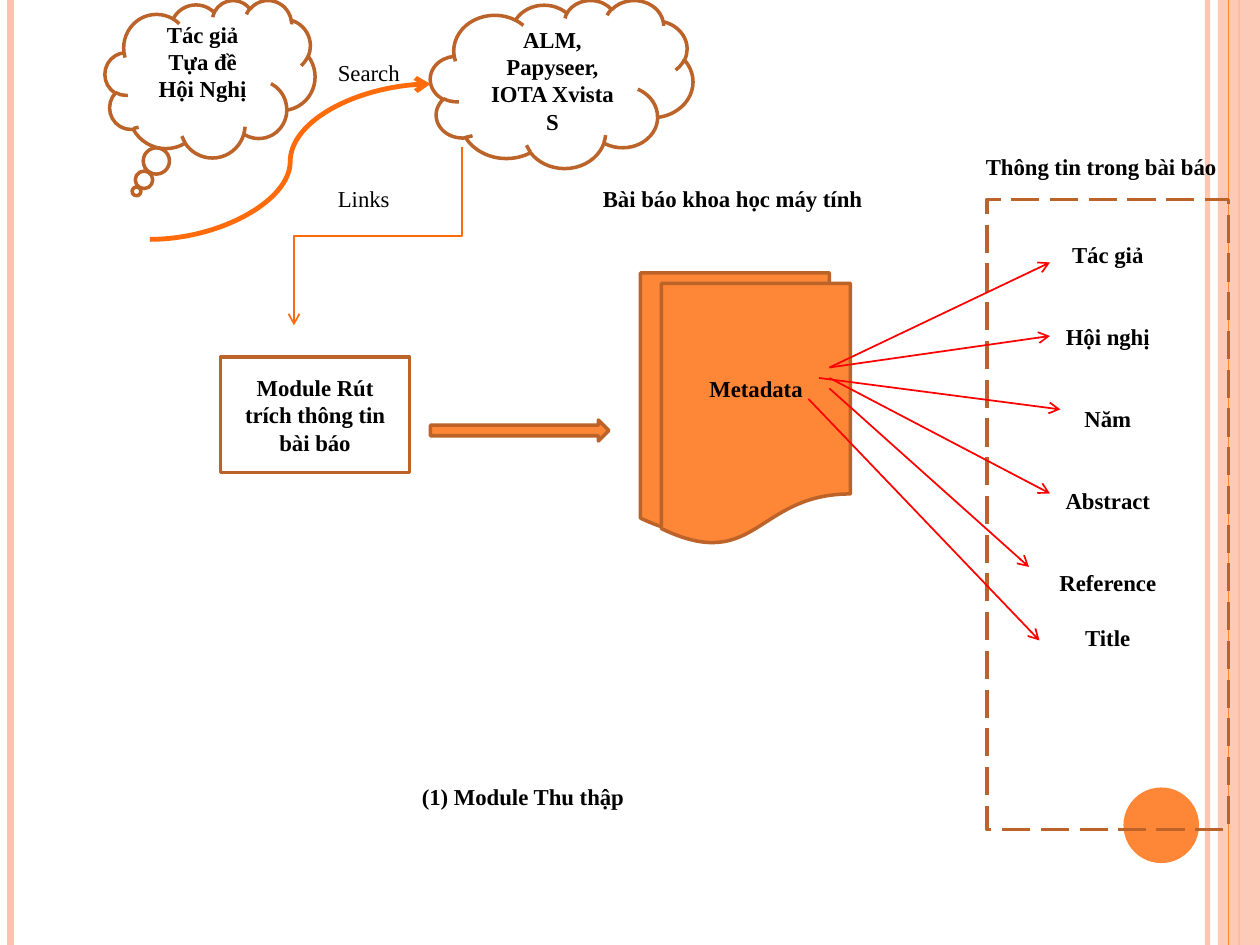
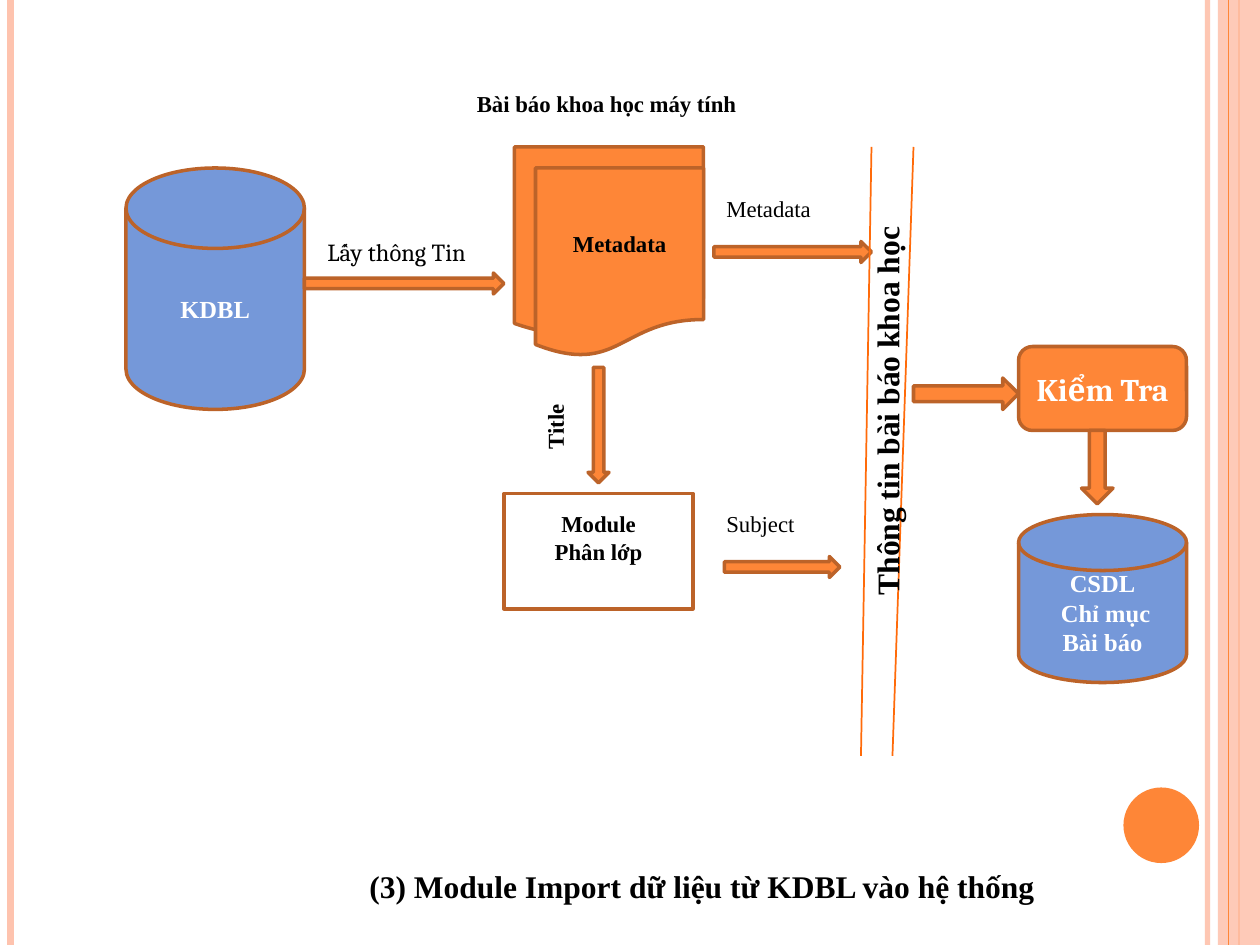
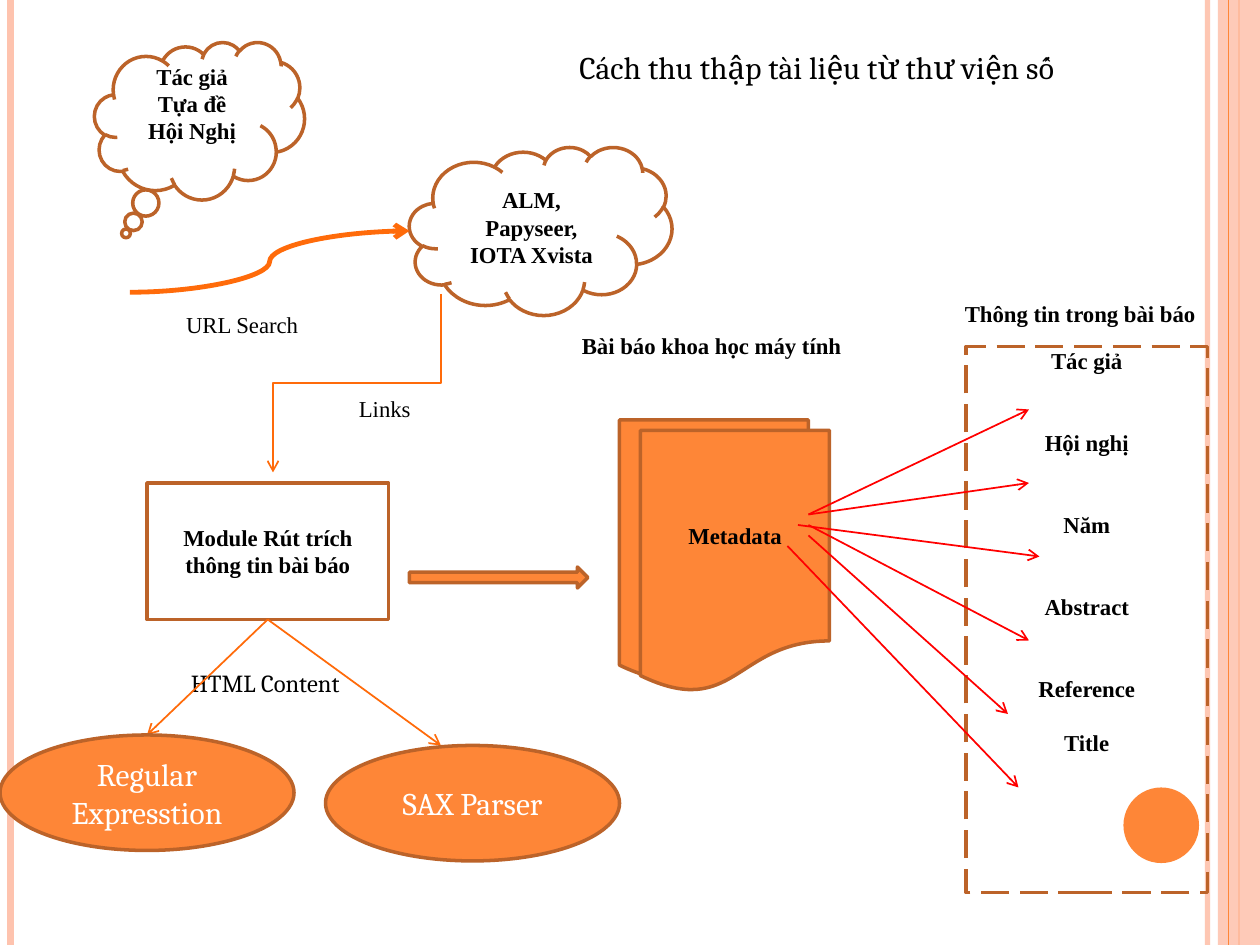
from lxml.etree import SubElement
from pptx import Presentation
from pptx.dml.color import RGBColor
from pptx.enum.dml import MSO_LINE
from pptx.enum.shapes import MSO_CONNECTOR as Link, MSO_SHAPE as Shape
from pptx.enum.text import MSO_ANCHOR as Anchor, PP_ALIGN as Align
from pptx.oxml.ns import qn
from pptx.util import Cm, Pt

ORANGE = RGBColor(0xFE, 0x86, 0x37)
BRIGHT = RGBColor(0xFF, 0x6B, 0x0A)
BROWN = RGBColor(0xBC, 0x63, 0x29)
PEACH = RGBColor(0xFE, 0xC3, 0xAE)
BLUE = RGBColor(0x75, 0x98, 0xD9)
RED = RGBColor(0xFF, 0x00, 0x00)
BLACK = RGBColor(0x00, 0x00, 0x00)
WHITE = RGBColor(0xFF, 0xFF, 0xFF)

WIDTH, HEIGHT = 25.4, 19.05
COLUMNS, ROWS = 120, 90
CELL = WIDTH / COLUMNS
LINE_PT = 15.6
LINE_CM = 0.55
INSET_CM = 0.13

SERIF, CAMBRIA = "Times New Roman", "Cambria"
PLAIN = {"name": SERIF, "size": Pt(13), "bold": False, "color": BLACK}
BOLD = {**PLAIN, "bold": True}
HEADING = {**BOLD, "size": Pt(18)}
DISK = {**BOLD, "size": Pt(14), "color": WHITE}
NOTE = {**PLAIN, "name": CAMBRIA, "size": Pt(14)}
TITLE = {**NOTE, "size": Pt(18)}
OVAL = {**TITLE, "color": WHITE}
CHECK = {**OVAL, "bold": True}

BANDS = [(115, PEACH, 3, 93), (1, PEACH, 4.5, None), (118, ORANGE, 1.5, None)]
AUTHOR_QUERY = ["Tác giả", "Tựa đề", "Hội Nghị"]
LIBRARIES = ["ALM,", "Papyseer,", "IOTA Xvista"]
MODULE = ["Module Rút trích thông tin bài báo"]
FIELDS = [("Tác giả", 0), ("Hội nghị", 2), ("Năm", 2),
          ("Abstract", 2), ("Reference", 2), ("Title", 1)]
FIELD_ARROWS = [
    ((79, 35), (100, 25)), ((79, 35), (100, 32)), ((78, 36), (101, 39)),
    ((79, 36), (100, 47)), ((79, 37), (98, 54)), ((77, 38), (99, 61)),
]

COLLECT = {
    "shift": (0, 0), "callout": (10, 0), "libraries": LIBRARIES + ["S"],
    "curve_start": (14.28, 22.8), "module": (21, 34, 18, 11),
    "fields_height": 60, "fields_inset": 0.84,
    "labels": [
        ((39, 74, 29), "(1) Module Thu thập", BOLD),
        ((31, 17, 7.5), "Links", PLAIN),
        ((31, 5, 8.4), "Search", PLAIN),
    ],
}
LIBRARY = {
    "shift": (-2, 14), "callout": (9, 4), "libraries": LIBRARIES,
    "curve_start": (12.36, 27.84), "module": (14, 46, 23, 13),
    "fields_height": 52, "fields_inset": 0,
    "labels": [
        ((33, 37, 7.5), "Links", PLAIN),
        ((16, 29, 13.8), " URL Search", PLAIN),
        ((17, 63, 19.2), "HTML Content", NOTE),
        ((54, 4, 54), "Cách thu thập tài liệu từ thư viện số", TITLE),
    ],
}
PARSERS = [((0, 70, 28, 11), ["Regular", "Expresstion"], (14, 70)),
           ((31, 71, 28, 11), ["SAX Parser"], (42, 71))]

IMPORT_ARROWS = [
    ((29, 26, 19, 2), 0), ((68, 23, 15, 2), 0), ((87, 36, 10, 3), 0),
    ((101, 43, 7, 3), 90), ((69, 53, 11, 2), 0), ((51.5, 39.5, 11, 2), 90),
]
IMPORT_LABELS = [
    ((30, 22, 23), "Lấy thông Tin", NOTE, 0),
    ((34, 82, 66), "(3) Module Import dữ liệu từ KDBL vào hệ thống", HEADING, 0),
    ((64.44, 35.52, 40), "Thông tin bài báo khoa học", HEADING, 270),
    ((68, 18, 21), "Metadata", PLAIN, 0),
    ((68, 48, 21), "Subject", PLAIN, 0),
    ((42.36, 31.56, 21), "Title", BOLD, 270),
]
IMPORT_RAILS = [((83, 14), (82, 72)), ((87, 14), (85, 72))]


def grid(*cells):
    return [Cm(cell * CELL) for cell in cells]


def set_alpha(item, percent):
    for color in item.element.spPr.iter(qn("a:srgbClr")):
        SubElement(color, qn("a:alpha")).set("val", str(percent * 1000))


def write(frame, lines, style, align):
    for index, line in enumerate(lines):
        text, gap = line if isinstance(line, tuple) else (line, 0)
        para = frame.paragraphs[0] if index == 0 else frame.add_paragraph()
        para.alignment = align
        if gap:
            para.space_before = Pt(gap * LINE_PT)
        span = para.add_run()
        span.text = text
        for key, value in style.items():
            if key == "color":
                span.font.color.rgb = value
            else:
                setattr(span.font, key, value)


def add_box(page, kind, place, lines=(), style=BOLD, fill=None, line=BROWN,
            rotation=0, **frame_format):
    box = page.shapes.add_shape(kind, *grid(*place))
    box.shadow.inherit = False
    box.rotation = rotation
    if fill is None:
        box.fill.background()
    else:
        box.fill.solid()
        box.fill.fore_color.rgb = fill
    if line is None:
        box.line.fill.background()
    else:
        box.line.color.rgb = line
        box.line.width = Pt(2)
    settings = {"word_wrap": True, "vertical_anchor": Anchor.MIDDLE, **frame_format}
    for key, value in settings.items():
        setattr(box.text_frame, key, value)
    write(box.text_frame, lines, style, Align.CENTER)
    return box


def add_label(page, place, text, style, rotation=0, align=Align.LEFT):
    height = 2.4 + style["size"].pt * 0.13 if style["size"].pt > 13 else 3.84
    box = page.shapes.add_textbox(*grid(*place, height))
    box.rotation = rotation
    box.text_frame.word_wrap = align == Align.LEFT
    write(box.text_frame, [text], style, align)


def add_line(page, start, end, color, width=1, kind=Link.STRAIGHT, arrow=False):
    line = page.shapes.add_connector(kind, *grid(*start, *end))
    line.line.color.rgb = color
    line.line.width = Pt(width)
    properties = line.element.spPr
    if arrow:
        SubElement(properties.find(qn("a:ln")), qn("a:tailEnd")).set("type", "arrow")
    SubElement(properties, qn("a:effectLst"))
    return line


def add_drop(page, start, end):
    (x1, y1), (x2, y2) = start, end
    mid_x, mid_y = (x1 + x2) / 2, (y1 + y2) / 2
    across, down = (y2 - y1) / 2, (x1 - x2) / 2
    line = add_line(page, (mid_x - across, mid_y - down),
                    (mid_x + across, mid_y + down), BRIGHT,
                    kind=Link.ELBOW, arrow=True)
    line.element.spPr.find(qn("a:xfrm")).set("rot", str(90 * 60000))


def add_frame(page):
    for column, color, width, alpha in BANDS:
        band = add_line(page, (column, 0), (column, ROWS), color, width)
        if alpha:
            set_alpha(band, alpha)
    set_alpha(add_box(page, Shape.RECTANGLE, (116, 0, 4, ROWS), fill=PEACH, line=None), 87)
    add_line(page, (117, 0), (117, ROWS), ORANGE, 0.75)
    add_box(page, Shape.OVAL, (107, 75, 7.2, 7.2), fill=ORANGE, line=None)


def add_papers(page, back, front, caption):
    add_box(page, Shape.FLOWCHART_DOCUMENT, back, fill=ORANGE)
    add_label(page, caption, "Bài báo khoa học máy tính", BOLD, align=Align.CENTER)
    add_box(page, Shape.FLOWCHART_DOCUMENT, front, ["Metadata"], fill=ORANGE)


def add_extraction(page, content):
    shift_x, shift_y = content["shift"]

    def moved(x, y, *size):
        return (x + shift_x, y + shift_y, *size)

    callout = add_box(page, Shape.CLOUD_CALLOUT, (*content["callout"], 20, 15),
                      AUTHOR_QUERY, margin_bottom=Cm(INSET_CM + LINE_CM))
    callout.adjustments[0], callout.adjustments[1] = -0.35, 0.715
    add_box(page, Shape.CLOUD, moved(41, 0, 25, 16), content["libraries"])
    add_drop(page, moved(44, 14), moved(28, 31))
    add_papers(page, moved(61, 26, 18, 25), moved(63, 27, 18, 25), moved(56, 17, 27.5))
    add_box(page, Shape.RIGHT_ARROW, moved(41, 40, 17, 2), fill=ORANGE)
    fields = add_box(page, Shape.RECTANGLE, moved(94, 19, 23, content["fields_height"]),
                     FIELDS, vertical_anchor=Anchor.TOP,
                     margin_top=Cm(content["fields_inset"]))
    fields.line.dash_style = MSO_LINE.LONG_DASH
    for start, end in FIELD_ARROWS:
        add_line(page, moved(*start), moved(*end), RED, arrow=True)
    add_line(page, content["curve_start"], moved(41, 8), BRIGHT, 2.75, Link.CURVE, True)
    add_label(page, moved(92.5, 14, 24.7), "Thông tin trong bài báo", BOLD,
              align=Align.CENTER)
    for label in content["labels"]:
        add_label(page, *label)
    return add_box(page, Shape.RECTANGLE, content["module"], MODULE)


def add_parsers(page, module):
    for place, lines, target in PARSERS:
        line = add_line(page, (25.5, 59), target, BRIGHT, arrow=True)
        line.begin_connect(module, 2)
        add_box(page, Shape.OVAL, place, lines, OVAL, ORANGE)


def add_import(page):
    disk = Shape.FLOWCHART_MAGNETIC_DISK
    add_box(page, disk, (12, 16, 17, 23), ["KDBL"], DISK, BLUE)
    add_papers(page, (49, 14, 18, 18), (51, 16, 16, 18), (44, 8, 27.5))
    add_box(page, disk, (97, 49, 16, 16), ["CSDL", " Chỉ mục", "Bài báo"], DISK, BLUE)
    add_box(page, Shape.FLOWCHART_ALTERNATE_PROCESS, (97, 33, 16, 8),
            ["Kiểm Tra"], CHECK, ORANGE)
    for place, rotation in IMPORT_ARROWS:
        add_box(page, Shape.RIGHT_ARROW, place, fill=ORANGE, rotation=rotation)
    add_box(page, Shape.RECTANGLE, (48, 47, 18, 11), ["Module", "Phân lớp"],
            margin_bottom=Cm(INSET_CM + LINE_CM))
    for start, end in IMPORT_RAILS:
        add_line(page, start, end, BRIGHT)
    for label in IMPORT_LABELS:
        add_label(page, *label)


def main():
    deck = Presentation()
    deck.slide_width, deck.slide_height = Cm(WIDTH), Cm(HEIGHT)
    pages = [deck.slides.add_slide(deck.slide_layouts[6]) for _ in range(3)]
    for page in pages:
        add_frame(page)
    collect_page, import_page, library_page = pages
    add_extraction(collect_page, COLLECT)
    add_import(import_page)
    add_parsers(library_page, add_extraction(library_page, LIBRARY))
    deck.save("out.pptx")


if __name__ == "__main__":
    main()
